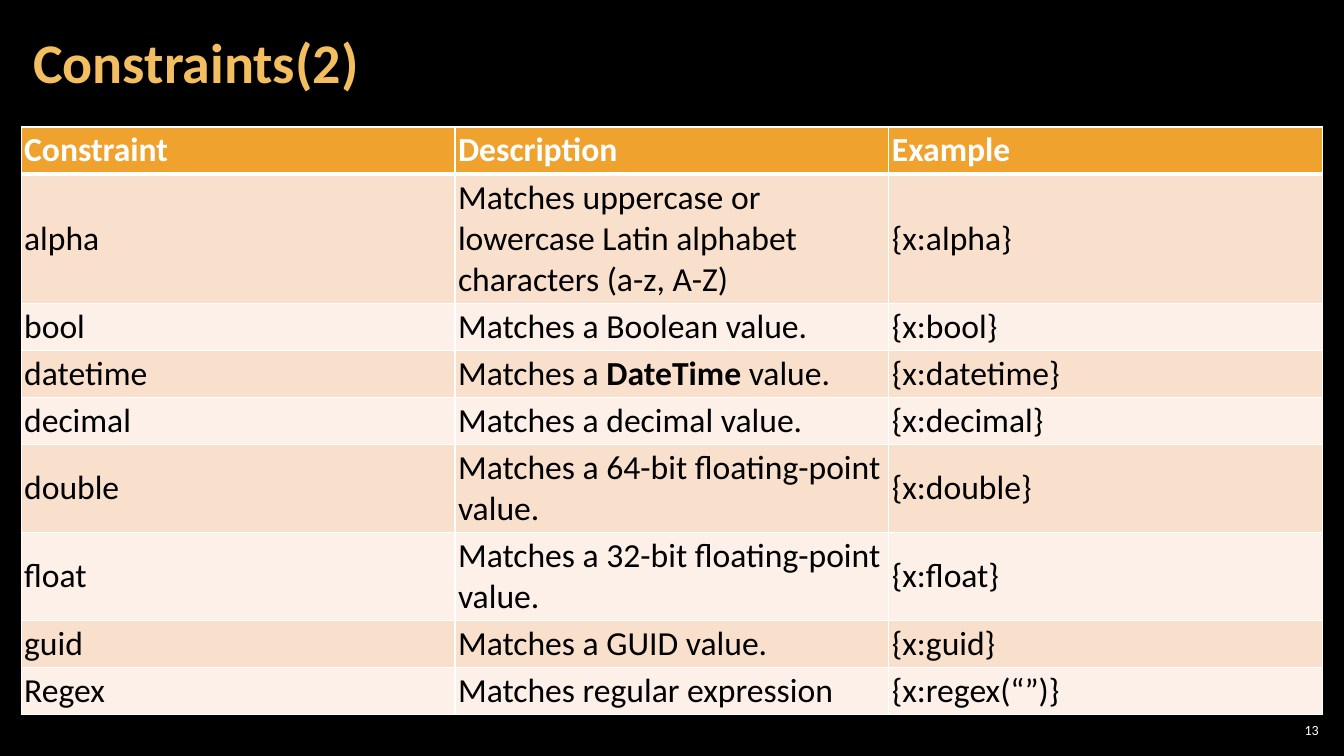
from pptx import Presentation
from pptx.dml.color import RGBColor
from pptx.enum.text import MSO_ANCHOR as Anchor, MSO_AUTO_SIZE as AutoSize, PP_ALIGN as Align
from pptx.oxml import parse_xml
from pptx.oxml.ns import nsdecls
from pptx.util import Inches, Pt

# Content: each cell is a string, or a tuple of (text, bold) runs
TITLE = "Constraints(2)"
PAGE_NUMBER = "13"
ROWS = [
    ("Constraint", "Description", "Example"),
    ("alpha", "Matches uppercase or lowercase Latin alphabet characters (a-z, A-Z)", "{x:alpha}"),
    ("bool", "Matches a Boolean value.", "{x:bool}"),
    ("datetime", (("Matches a ", False), ("DateTime", True), (" value.", False)), "{x:datetime}"),
    ("decimal", "Matches a decimal value.", "{x:decimal}"),
    ("double", "Matches a 64-bit floating-point value.", "{x:double}"),
    ("float", "Matches a 32-bit floating-point value.", "{x:float}"),
    ("guid", "Matches a GUID value.", "{x:guid}"),
    ("Regex", "Matches regular expression", "{x:regex(“”)}"),
]


class Theme:
    font = "Calibri"
    background, title, header = "000000", "F3BE60", "F0A22E"
    bands = ("F9E0CD", "FCF0E8")
    light, dark = "FFFFFF", "000000"
    title_size, table_size, number_size = 40, 24, 10
    border, header_border = 1, 3


LEFT, TABLE_TOP, TABLE_WIDTH, ROW_HEIGHT = 0.21, 1.26, 12.91, 0.41


def set_all(target, values):
    for name, value in values.items():
        setattr(target, name, value)


def add_run(paragraph, text, size, color, bold=False):
    run = paragraph.add_run()
    run.text = text
    set_all(run.font, {"name": Theme.font, "size": Pt(size), "bold": bold})
    run.font.color.rgb = RGBColor.from_string(color)


def format_frame(frame, side, vertical):
    set_all(frame, {
        "word_wrap": True, "auto_size": AutoSize.NONE, "vertical_anchor": Anchor.MIDDLE,
        "margin_left": Inches(side), "margin_right": Inches(side),
        "margin_top": Inches(vertical), "margin_bottom": Inches(vertical),
    })


def place(shape, left, top, width, height):
    set_all(shape, {"left": Inches(left), "top": Inches(top),
                    "width": Inches(width), "height": Inches(height)})


def set_borders(cell, top, bottom):
    widths = {"L": Theme.border, "R": Theme.border, "T": top, "B": bottom}
    for side, width in widths.items():
        cell._tc.get_or_add_tcPr().append(parse_xml(
            f'<a:ln{side} {nsdecls("a")} w="{Pt(width)}"><a:solidFill>'
            f'<a:srgbClr val="{Theme.light}"/></a:solidFill></a:ln{side}>'))


def fill_cell(cell, content, row):
    is_header = row == 0
    set_borders(cell,
                Theme.header_border if row == 1 else Theme.border,
                Theme.header_border if is_header else Theme.border)
    cell.fill.solid()
    fill = Theme.header if is_header else Theme.bands[(row - 1) % 2]
    cell.fill.fore_color.rgb = RGBColor.from_string(fill)
    set_all(cell, {"vertical_anchor": Anchor.MIDDLE,
                   **{f"margin_{side}": Inches(0.03)
                      for side in ("left", "right", "top", "bottom")}})
    runs = ((content, is_header),) if isinstance(content, str) else content
    color = Theme.light if is_header else Theme.dark
    for text, bold in runs:
        add_run(cell.text_frame.paragraphs[0], text, Theme.table_size, color, bold)


def main():
    presentation = Presentation()
    set_all(presentation, {"slide_width": Inches(13.33), "slide_height": Inches(7.5)})
    slide = presentation.slides.add_slide(presentation.slide_layouts[5])
    slide.background.fill.solid()
    slide.background.fill.fore_color.rgb = RGBColor.from_string(Theme.background)

    # Title
    title = slide.shapes.title
    place(title, LEFT, 0.04, 10.47, 1.21)
    format_frame(title.text_frame, 0.12, 0.04)
    paragraph = title.text_frame.paragraphs[0]
    set_all(paragraph, {"alignment": Align.LEFT, "line_spacing": 0.9})
    add_run(paragraph, TITLE, Theme.title_size, Theme.title, True)

    # Constraint table: rows grow to fit wrapped text
    table = slide.shapes.add_table(
        len(ROWS), len(ROWS[0]), Inches(LEFT), Inches(TABLE_TOP),
        Inches(TABLE_WIDTH), Inches(ROW_HEIGHT * len(ROWS))).table
    for row, contents in enumerate(ROWS):
        for column, content in enumerate(contents):
            fill_cell(table.cell(row, column), content, row)

    # Page number
    number = slide.shapes.add_textbox(0, 0, 0, 0)
    place(number, 12.65, 7.14, 0.47, 0.21)
    format_frame(number.text_frame, 0.04, 0.04)
    paragraph = number.text_frame.paragraphs[0]
    paragraph.alignment = Align.RIGHT
    add_run(paragraph, PAGE_NUMBER, Theme.number_size, Theme.light)

    presentation.save("out.pptx")


if __name__ == "__main__":
    main()
